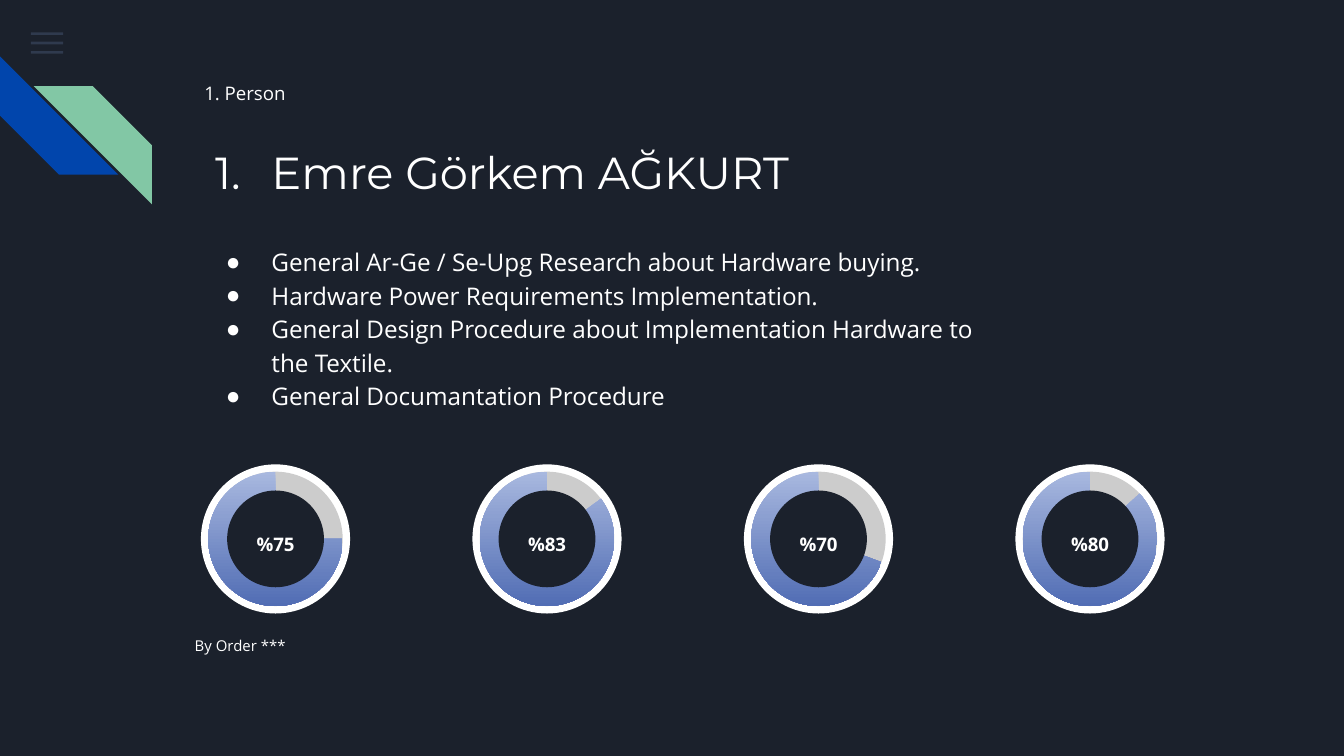
from lxml import etree
from pptx import Presentation
from pptx.dml.color import RGBColor
from pptx.enum.shapes import MSO_SHAPE
from pptx.enum.text import MSO_ANCHOR, MSO_AUTO_SIZE, PP_ALIGN
from pptx.oxml.ns import qn
from pptx.util import Inches, Pt

OVAL, PIE = MSO_SHAPE.OVAL, MSO_SHAPE.PIE
BAR, STRIPE = MSO_SHAPE.RECTANGLE, MSO_SHAPE.DIAGONAL_STRIPE
TOP, MIDDLE = MSO_ANCHOR.TOP, MSO_ANCHOR.MIDDLE
LEFT, CENTER = PP_ALIGN.LEFT, PP_ALIGN.CENTER

COLORS = {
    "night": "1B212C", "white": "FFFFFF", "slate": "55688B", "blue": "0145AC",
    "green": "82C7A5", "gray": "CCCCCC", "sky": "A8B8DF", "indigo": "516DB4",
}
SECTION = "1. Person"
NAME = "Emre Görkem AĞKURT"
TASKS = [
    "General Ar-Ge / Se-Upg Research about Hardware buying.",
    "Hardware Power Requirements Implementation.",
    "General Design Procedure about Implementation Hardware to the Textile.",
    "General Documantation Procedure",
]
FOOTNOTE = "By Order ***"
GAUGES = [("%75", 0), ("%83", 323.5), ("%70", 20.4), ("%80", 317.8)]

TEXT_LEFT, TEXT_WIDTH = 1.42, 6.13
GAUGE_X, GAUGE_Y, GAUGE_STEP = 2.05, 4.01, 2.02
RING, DISC, HOLE = 1.11, 1.0, 0.72
LABEL_WIDTH, LABEL_HEIGHT = 0.51, 0.3


def color(name):
    return RGBColor.from_string(COLORS[name])


def add_figure(page, kind, left, top, width, height, fill):
    shape = page.shapes.add_shape(kind, *map(Inches, (left, top, width, height)))
    shape.shadow.inherit = False
    shape.line.fill.background()
    if fill:
        shape.fill.solid()
        shape.fill.fore_color.rgb = color(fill)
    return shape


def add_disc(page, kind, center, size, fill=None):
    return add_figure(page, kind, center - size / 2, GAUGE_Y - size / 2, size, size, fill)


def write(box, place, lines, size, font="Open Sans", bold=False, align=LEFT,
          anchor=TOP, spacing=1.0, bullet=None, hanging=0):
    box.left, box.top, box.width, box.height = map(Inches, place)
    frame = box.text_frame
    frame.word_wrap = True
    frame.auto_size = MSO_AUTO_SIZE.NONE
    frame.vertical_anchor = anchor
    for side in ("left", "top", "right", "bottom"):
        setattr(frame, f"margin_{side}", Inches(0.1))
    for index, line in enumerate(lines):
        para = frame.paragraphs[0] if index == 0 else frame.add_paragraph()
        span = para.add_run()
        span.text = line
        properties = para._p.get_or_add_pPr()
        properties.set("marL", str(Inches(0.5) if bullet else 0))
        properties.set("indent", str(-Inches(hanging)))
        tag, attributes = bullet or ("a:buNone", {})
        etree.SubElement(properties, qn(tag), attributes)
        formats = {"alignment": align, "line_spacing": spacing,
                   "space_before": Pt(0), "space_after": Pt(0)}
        for key, value in formats.items():
            setattr(para, key, value)
        for key, value in {"name": font, "size": Pt(size), "bold": bold}.items():
            setattr(span.font, key, value)
        span.font.color.rgb = color("white")


def add_text(page, place, line, size, **formats):
    write(page.shapes.add_textbox(0, 0, 0, 0), place, [line], size, **formats)


def add_gauge(page, center, label, start):
    add_disc(page, OVAL, center, RING, "white")
    add_disc(page, OVAL, center, DISC, "gray")
    share = add_disc(page, PIE, center, DISC)
    share.adjustments[0] = start * 0.6
    share.adjustments[1] = 270 * 0.6
    share.fill.gradient()
    share.fill.gradient_angle = 270
    for stop, name in zip(share.fill.gradient_stops, ("sky", "indigo")):
        stop.color.rgb = color(name)
    add_disc(page, OVAL, center, HOLE, "night")
    place = (center - LABEL_WIDTH / 2, 3.84, LABEL_WIDTH, LABEL_HEIGHT)
    add_text(page, place, label, 10, bold=True, align=CENTER, spacing=1.15)


def add_decoration(page):
    for row in range(3):
        bar = add_figure(page, BAR, 0.23, 0.24 + row * 0.07, 0.24, 0.02, "slate")
        fill = bar.fill._xPr.find(qn("a:solidFill"))[0]
        etree.SubElement(fill, qn("a:alpha"), val="36000")
    add_figure(page, STRIPE, 0, 0.42, 0.88, 0.88, "blue").rotation = 270
    green = add_figure(page, STRIPE, 0.25, 0.64, 0.88, 0.88, "green")
    green._element.spPr.find(qn("a:xfrm")).set("flipH", "1")


def main():
    deck = Presentation()
    deck.slide_width = Inches(10)
    deck.slide_height = deck.slide_width * 9 // 16
    page = deck.slides.add_slide(deck.slide_layouts[3])
    page.background.fill.solid()
    page.background.fill.fore_color.rgb = color("night")
    title, section, body = page.placeholders

    add_decoration(page)
    write(section, (TEXT_LEFT, 0.52, 3.84, 0.35), [SECTION], 10, anchor=MIDDLE)
    write(title, (TEXT_LEFT, 0.92, TEXT_WIDTH, 0.65), [NAME], 24, font="Montserrat",
          spacing=1.15, bullet=("a:buAutoNum", {"type": "arabicPeriod"}), hanging=0.42)
    write(body, (TEXT_LEFT, 1.71, TEXT_WIDTH, 1.37), TASKS, 13,
          spacing=1.15, bullet=("a:buChar", {"char": "●"}), hanging=0.34)
    for index, (label, start) in enumerate(GAUGES):
        add_gauge(page, GAUGE_X + index * GAUGE_STEP, label, start)
    add_text(page, (1.35, 4.64, 1.38, 0.48), FOOTNOTE, 8)
    deck.save("out.pptx")


if __name__ == "__main__":
    main()
